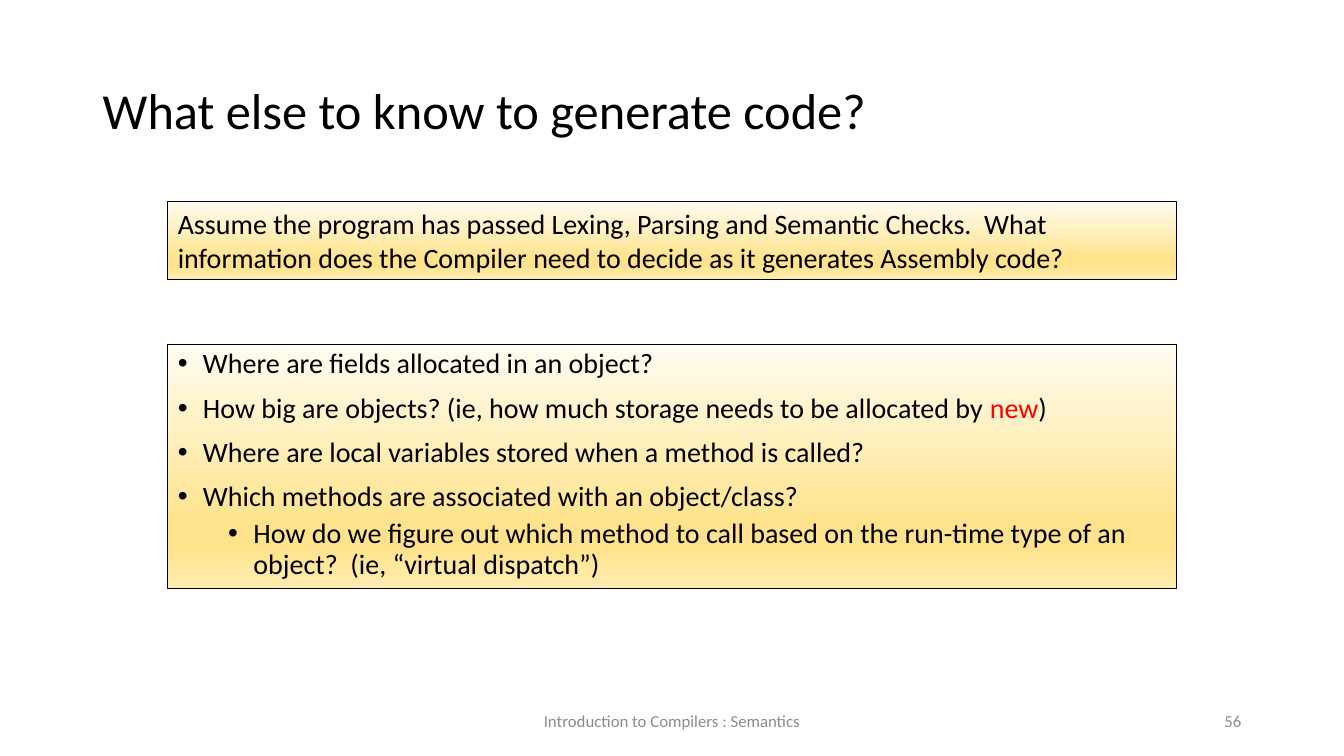
from lxml import etree
from pptx import Presentation, util as u
from pptx.dml.color import RGBColor
from pptx.enum import shapes, text
from pptx.oxml.ns import qn

TITLE = "What else to know to generate code?"
PREMISE = ("Assume the program has passed Lexing, Parsing and Semantic Checks.  What "
           "information does the Compiler need to decide as it generates Assembly code?")
# (level, runs), each run being (words, colour name)
QUESTIONS = [
    (0, [("Where are fields allocated in an object?", "ink")]),
    (0, [("How big are objects? (ie, how much storage needs to be allocated by ", "ink"),
         ("new", "accent"), (")", "ink")]),
    (0, [("Where are local variables stored when a method is called?", "ink")]),
    (0, [("Which methods are associated with an object/class?", "ink")]),
    (1, [("How do we figure out which method to call based on the run-time type of an "
          "object?  (ie, “virtual dispatch”)", "ink")]),
]
FOOTER, PAGE = "Introduction to Compilers : Semantics", "56"

THEME = {
    "font": "Calibri", "ink": "000000", "accent": "FF0000", "muted": "8C8C8C",
    "title": 36, "body": 20, "small": 12, "line": 0.75,
    "gold": [(0, "FFFCF2"), (74, "FFE38C"), (83, "FFE38C"), (100, "FFECB2")],
}
WIDTH, HEIGHT = 13.33, 7.5
MARGIN = 0.92
PANEL_W = 10
PANEL_X = (WIDTH - PANEL_W) / 2
FOOT_Y, FOOT_H, FOOT_W, PAGE_W = 6.95, 0.4, 4.5, 3
LEVELS = [(0.25, 10), (0.75, 5)]  # indent in inches, space before in points
HANG = 0.25

ALIGN, ANCHOR = text.PP_ALIGN, text.MSO_ANCHOR


def rgb(name):
    """Return a theme colour by name."""
    return RGBColor.from_string(THEME[name])


def write(p, runs, size):
    """Fill a paragraph with (words, colour name) runs of one size."""
    p.font.name, p.font.size = THEME["font"], u.Pt(size)
    for words, colour in runs:
        r = p.add_run()
        r.text = words
        r.font.color.rgb = rgb(colour)


def label(s, box, words, size, colour, align=ALIGN.LEFT):
    """Add a wrapped, vertically centred text box."""
    tf = s.shapes.add_textbox(*map(u.Inches, box)).text_frame
    tf.word_wrap, tf.vertical_anchor = True, ANCHOR.MIDDLE
    p = tf.paragraphs[0]
    p.alignment = align
    write(p, [(words, colour)], THEME[size])
    return p


def panel(s, top, height):
    """Add a gold gradient panel and return its text frame."""
    sp = s.shapes.add_shape(shapes.MSO_SHAPE.RECTANGLE,
                            *map(u.Inches, (PANEL_X, top, PANEL_W, height)))
    sp.shadow.inherit = False
    sp.line.color.rgb, sp.line.width = rgb("ink"), u.Pt(THEME["line"])
    sp.fill.gradient()
    sp.fill.gradient_angle = 270
    stops = sp._element.spPr.find(".//" + qn("a:gsLst"))
    for stop in list(stops):
        stops.remove(stop)
    for share, colour in THEME["gold"]:
        stop = etree.SubElement(stops, qn("a:gs"), pos=str(share * 1000))
        etree.SubElement(stop, qn("a:srgbClr"), val=colour)
    tf = sp.text_frame
    tf.word_wrap, tf.vertical_anchor = True, ANCHOR.TOP
    tf.paragraphs[0].alignment = ALIGN.LEFT
    return tf


def bullet(p, level):
    """Give a paragraph its bullet, hanging indent and spacing."""
    indent, before = LEVELS[level]
    p.level, p.alignment = level, ALIGN.LEFT
    p.line_spacing, p.space_before = 0.9, u.Pt(before)
    pPr = p._p.get_or_add_pPr()
    pPr.set("marL", str(u.Inches(indent)))
    pPr.set("indent", str(-u.Inches(HANG)))
    font = etree.Element(qn("a:buFont"), typeface="Arial")
    char = etree.Element(qn("a:buChar"), char="•")
    pPr.find(qn("a:spcBef")).addnext(font)
    font.addnext(char)


prs = Presentation()
prs.slide_width, prs.slide_height = u.Inches(WIDTH), u.Inches(HEIGHT)
s = prs.slides.add_slide(prs.slide_layouts[6])

title = label(s, (MARGIN, 0.4, WIDTH - 2 * MARGIN, 1.45), TITLE, "title", "ink")
title.line_spacing = 0.9

tf = panel(s, 3.42, 2.42)
for i, (level, runs) in enumerate(QUESTIONS):
    p = tf.add_paragraph() if i else tf.paragraphs[0]
    bullet(p, level)
    write(p, runs, THEME["body"])

tf = panel(s, 2, 0.77)
write(tf.paragraphs[0], [(PREMISE, "ink")], THEME["body"])

label(s, (WIDTH - MARGIN - PAGE_W, FOOT_Y, PAGE_W, FOOT_H),
      PAGE, "small", "muted", ALIGN.RIGHT)
label(s, ((WIDTH - FOOT_W) / 2, FOOT_Y, FOOT_W, FOOT_H),
      FOOTER, "small", "muted", ALIGN.CENTER)

prs.save("out.pptx")
